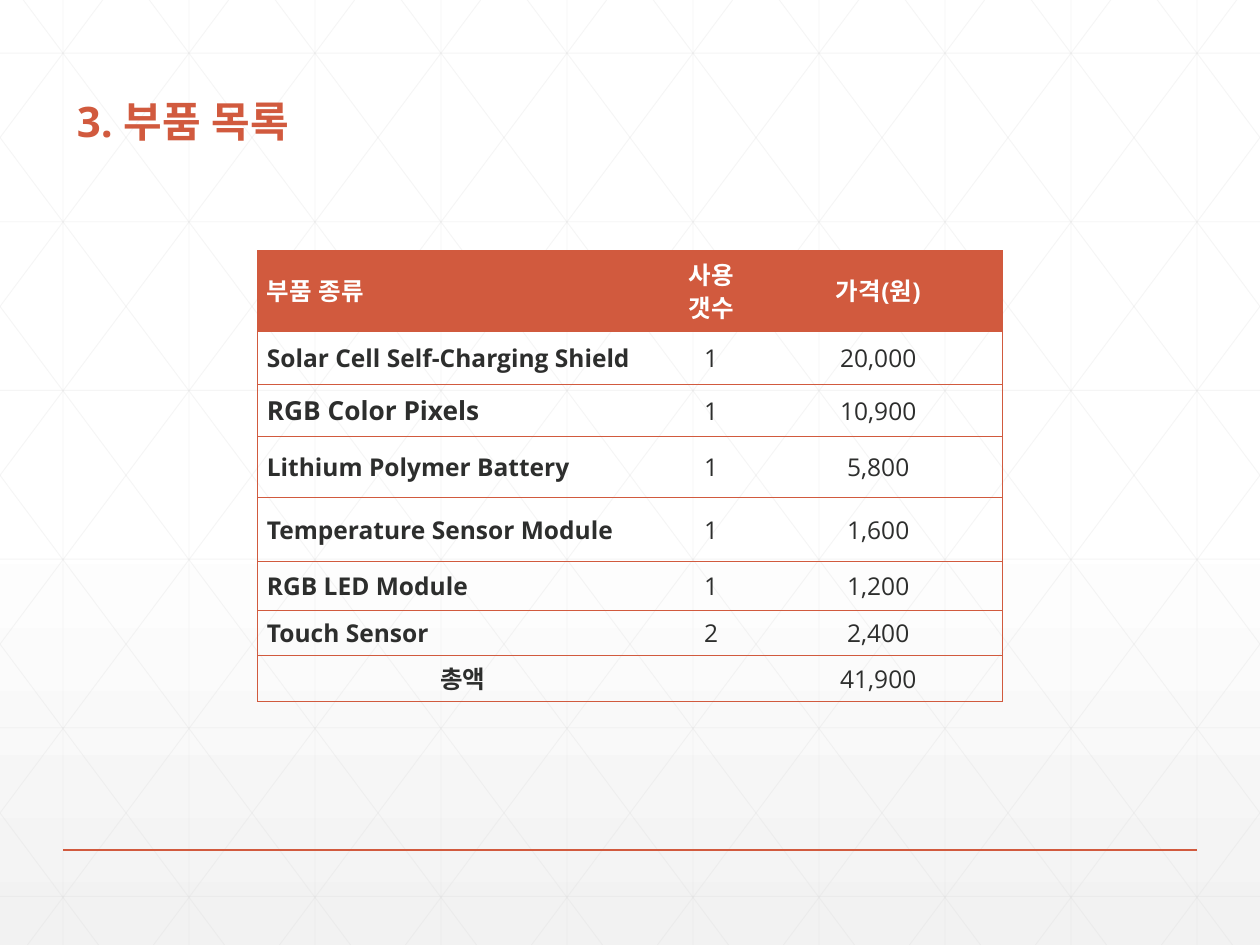
from copy import deepcopy
from dataclasses import dataclass

from lxml.etree import SubElement, fromstring
from pptx import Presentation
from pptx.dml.color import RGBColor
from pptx.enum.shapes import MSO_CONNECTOR
from pptx.enum.text import MSO_ANCHOR, PP_ALIGN
from pptx.oxml.ns import nsdecls, qn
from pptx.util import Cm, Pt

WIDTH, HEIGHT = 25.4, 19.05
NO_STYLE = "{2D5ABB26-0587-4C30-8999-92F81FD0307C}"


@dataclass(frozen=True)
class Theme:
    font: str = "Open Sans"
    accent: str = "D15A3E"
    ink: str = "2D2E2D"
    white: str = "FFFFFF"
    shade: str = "F2F2F2"
    lattice: str = "D9D9D9"
    title_size: float = 24
    body_size: float = 14
    large_size: float = 15


class Deck:
    def __init__(self, theme):
        self.theme = theme
        self.prs = Presentation()
        self.prs.slide_width, self.prs.slide_height = Cm(WIDTH), Cm(HEIGHT)
        self.s = self.prs.slides.add_slide(self.prs.slide_layouts[6])

    def background(self, stops):
        fill = self.s.background.fill
        fill.gradient()
        fill.gradient_angle = 270
        first = fill.gradient_stops[0]._gs
        first.addnext(deepcopy(first))
        for stop, (position, color) in zip(fill.gradient_stops, stops):
            stop.position = position
            stop.color.rgb = RGBColor.from_string(color)

    def line(self, x1, y1, x2, y2, color, width, alpha=None):
        c = self.s.shapes.add_connector(
            MSO_CONNECTOR.STRAIGHT, Cm(x1), Cm(y1), Cm(x2), Cm(y2))
        c.line.color.rgb = RGBColor.from_string(color)
        c.line.width = Pt(width)
        if alpha:
            rgb = c.line._ln.find(".//" + qn("a:srgbClr"))
            SubElement(rgb, qn("a:alpha"), val=str(alpha * 1000))
        SubElement(c._element.spPr, qn("a:effectLst"))

    def lattice(self):
        """Faint triangles: uprights, levels and two mirrored sets of diagonals."""
        pitch, slope, offset = 2.54, 1.34, 0.47
        style = (self.theme.lattice, 0.5, 25)
        for i in range(10):
            x = pitch * (i + 0.5)
            self.line(x, 0, x, HEIGHT, *style)
        for i in range(6):
            y = 1.07 + 3.4 * i
            self.line(0, y, WIDTH, y, *style)
        for i in range(-5, 10):
            start = offset + pitch * i
            x1 = max(start, 0)
            x2 = min(start + HEIGHT / slope, WIDTH)
            y1, y2 = (x1 - start) * slope, (x2 - start) * slope
            self.line(x1, y1, x2, y2, *style)
            self.line(WIDTH - x1, y1, WIDTH - x2, y2, *style)

    def format_run(self, p, size, color, bold):
        for r in p.runs:
            r.font.name = self.theme.font
            r.font.size = Pt(size)
            r.font.bold = bold
            r.font.color.rgb = RGBColor.from_string(color)
            SubElement(r.font._element, qn("a:ea"), typeface=self.theme.font)

    def title(self, text, x, y, w, h):
        sp = self.s.shapes.add_textbox(Cm(x), Cm(y), Cm(w), Cm(h))
        tf = sp.text_frame
        tf.word_wrap = True
        tf.vertical_anchor = MSO_ANCHOR.BOTTOM
        p = tf.paragraphs[0]
        p.text = text
        p.line_spacing = 0.9
        self.format_run(p, self.theme.title_size, self.theme.accent, True)

    def borders(self, cell, sides):
        tcPr = cell._tc.get_or_add_tcPr()
        for i, side in enumerate(sides):
            tcPr.insert(i, fromstring(
                f'<a:ln{side} {nsdecls("a")} w="6350"><a:solidFill>'
                f'<a:srgbClr val="{self.theme.accent}"/></a:solidFill></a:ln{side}>'))

    def cell(self, cell, text, size, color, bold, align):
        cell.vertical_anchor = MSO_ANCHOR.MIDDLE
        cell.margin_left = cell.margin_right = Cm(0.19)
        cell.margin_top = cell.margin_bottom = Cm(0.1)
        p = cell.text_frame.paragraphs[0]
        p.alignment = align
        if text:
            p.text = text
            self.format_run(p, size, color, bold)
        else:
            SubElement(p._p, qn("a:endParaRPr"), sz=str(size * 100))

    def table(self, x, y, widths, heights, rows, large_row):
        t = self.theme
        table = self.s.shapes.add_table(
            len(rows), len(widths), Cm(x), Cm(y),
            Cm(sum(widths)), Cm(sum(heights))).table
        table.first_row = table.horz_banding = False
        table._tbl.tblPr.find(qn("a:tableStyleId")).text = NO_STYLE
        for column, width in zip(table.columns, widths):
            column.width = Cm(width)
        for row, height in zip(table.rows, heights):
            row.height = Cm(height)
        for i, row in enumerate(rows):
            header, total = i == 0, i == len(rows) - 1
            for j, text in enumerate(row):
                cell = table.cell(i, j)
                name = j == 0
                self.cell(cell, text,
                          t.large_size if name and i == large_row else t.body_size,
                          t.white if header else t.ink,
                          header or name,
                          PP_ALIGN.LEFT if name and not total else PP_ALIGN.CENTER)
                if header:
                    cell.fill.solid()
                    cell.fill.fore_color.rgb = RGBColor.from_string(t.accent)
                else:
                    cell.fill.background()
                sides = {0: "LTB", len(widths) - 1: "RTB"}.get(j, "TB")
                self.borders(cell, sides)


def main():
    theme = Theme()
    deck = Deck(theme)
    deck.background([(0, theme.white), (0.53, theme.white), (1, theme.shade)])
    deck.lattice()
    deck.line(1.27, 17.14, 24.13, 17.14, theme.accent, 1)
    deck.title("3. 부품 목록", 1.3, 1.55, 5.97, 1.52)
    deck.table(
        5.19, 5.05, [8.28, 1.73, 5.01],
        [1.64, 1.06, 1.05, 1.23, 1.29, 0.99, 0.91, 0.92],
        [("부품 종류", "사용 갯수", "가격(원)"),
         ("Solar Cell Self-Charging Shield", "1", "20,000"),
         ("RGB Color Pixels", "1", "10,900"),
         ("Lithium Polymer Battery", "1", "5,800"),
         ("Temperature Sensor Module", "1", "1,600"),
         ("RGB LED Module", "1", "1,200"),
         ("Touch Sensor", "2", "2,400"),
         ("총액", "", "41,900")],
        large_row=2)
    deck.prs.save("out.pptx")


if __name__ == "__main__":
    main()
